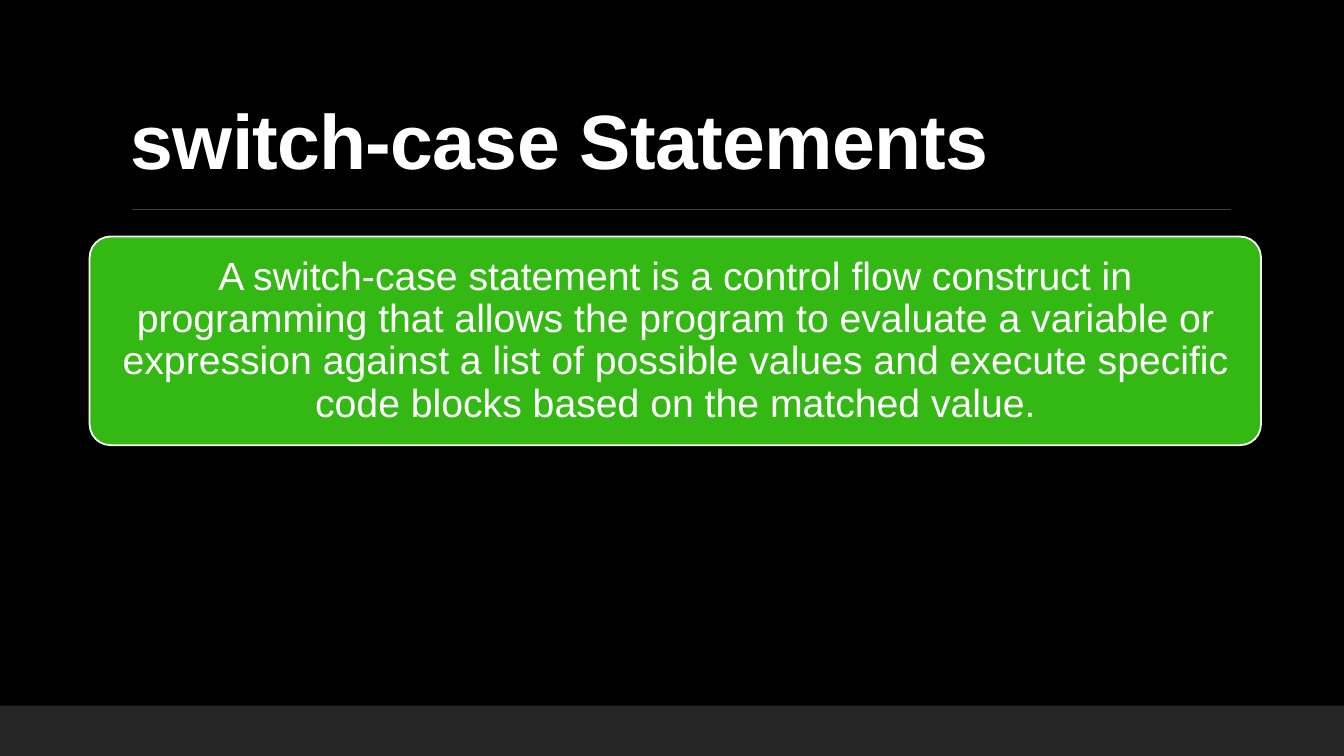
from pptx import Presentation
from pptx.dml.color import RGBColor
from pptx.enum.shapes import MSO_CONNECTOR as Connector, MSO_SHAPE as Shape
from pptx.enum.text import MSO_ANCHOR as Anchor, PP_ALIGN as Align
from pptx.oxml.ns import qn
from pptx.util import Pt
from lxml import etree

COLORS = {
    "background": "000000",
    "footer": "262626",
    "rule": "404040",
    "card": "34B914",
    "text": "FFFFFF",
}
FONT = "Arial"
TITLE = "switch-case Statements"
DEFINITION = (
    "A switch-case statement is a control flow construct in programming that "
    "allows the program to evaluate a variable or expression against a list of "
    "possible values and execute specific code blocks based on the matched value."
)


def color(name):
    return RGBColor.from_string(COLORS[name])


def add_block(slide, kind, box, fill, outline=None):
    shape = slide.shapes.add_shape(kind, *map(Pt, box))
    shape.shadow.inherit = False
    shape.fill.solid()
    shape.fill.fore_color.rgb = color(fill)
    if outline:
        shape.line.color.rgb = color(outline)
        shape.line.width = Pt(1.25)
    else:
        shape.line.fill.background()
    return shape


def add_rule(slide, left, right, y):
    rule = slide.shapes.add_connector(
        Connector.STRAIGHT, Pt(left), Pt(y), Pt(right), Pt(y))
    rule.line.color.rgb = color("rule")
    rule.line.width = Pt(1)
    etree.SubElement(rule._element.spPr, qn("a:effectLst"))


def write_text(shape, text, size, anchor, align):
    """Fill the shape with one paragraph and return its run."""
    frame = shape.text_frame
    frame.word_wrap = True
    frame.vertical_anchor = anchor
    frame.text = text
    paragraph = frame.paragraphs[0]
    paragraph.alignment = align
    paragraph.line_spacing = 0.9
    run = paragraph.runs[0]
    run.font.name = FONT
    run.font.size = Pt(size)
    run.font.color.rgb = color("text")
    return run


def add_title(slide, text, box):
    title = slide.shapes.add_textbox(*map(Pt, box))
    run = write_text(title, text, 55, Anchor.BOTTOM, Align.LEFT)
    run.font.bold = True
    run._r.get_or_add_rPr().set("spc", "-50")


def add_card(slide, text, box):
    card = add_block(slide, Shape.ROUNDED_RECTANGLE, box, "card", "text")
    card.adjustments[0] = 0.1
    frame = card.text_frame
    frame.margin_left = frame.margin_right = Pt(8.64)
    frame.margin_top = frame.margin_bottom = Pt(8.64)
    write_text(card, text, 28, Anchor.MIDDLE, Align.CENTER)


def main():
    presentation = Presentation()
    presentation.slide_width = Pt(960)
    presentation.slide_height = Pt(540)
    slide = presentation.slides.add_slide(presentation.slide_layouts[6])
    slide.background.fill.solid()
    slide.background.fill.fore_color.rgb = color("background")

    add_block(slide, Shape.RECTANGLE, (0, 504, 960, 36), "footer")
    add_rule(slide, 94.3, 879, 149.5)
    add_title(slide, TITLE, (86.4, 22.3, 792, 114.5))
    add_card(slide, DEFINITION, (64, 169, 836.7, 149))

    presentation.save("out.pptx")


if __name__ == "__main__":
    main()
